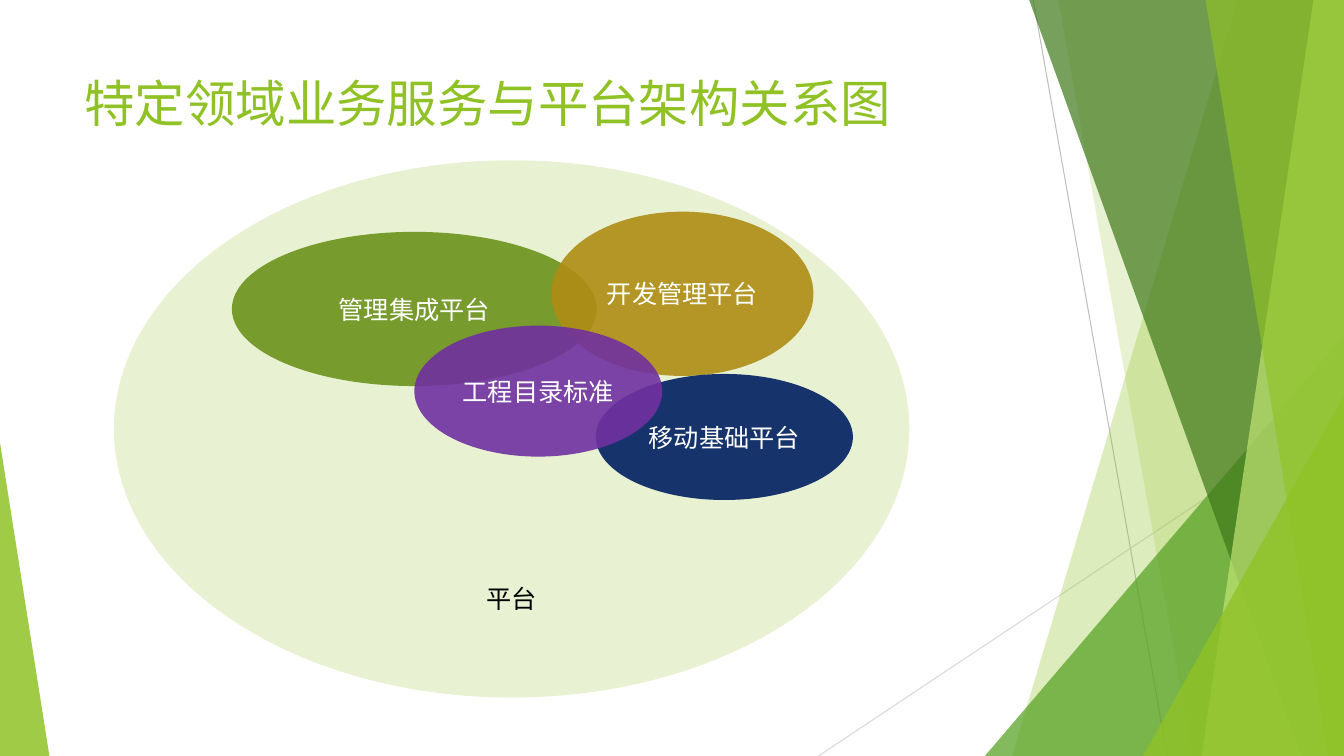
from dataclasses import dataclass

from lxml.etree import SubElement
from pptx import Presentation
from pptx.dml.color import RGBColor
from pptx.enum.shapes import MSO_CONNECTOR, MSO_SHAPE
from pptx.enum.text import MSO_ANCHOR, PP_ALIGN
from pptx.oxml.ns import qn
from pptx.util import Inches, Pt

WIDTH, HEIGHT = Inches(13.333), Inches(7.5)


@dataclass(frozen=True)
class Theme:
    font: str = "Noto Sans"
    title_size: int = 36
    label_size: int = 18
    line_width: float = 0.75
    lime: str = "90C226"
    pale_lime: str = "C0E474"
    green: str = "54A021"
    forest: str = "3F7819"
    olive: str = "6C921D"
    gold: str = "AF8C14"
    navy: str = "002060"
    purple: str = "7030A0"
    gray: str = "BFBFBF"
    light_gray: str = "D9D9D9"
    white: str = "FFFFFF"
    black: str = "000000"


THEME = Theme()


def across(share):
    return round(WIDTH * share / 100)


def down(share):
    return round(HEIGHT * share / 100)


def box(x, y, w, h):
    return across(x), down(y), across(w), down(h)


def paint(sp, color, opacity):
    sp.shadow.inherit = False
    sp.fill.solid()
    sp.fill.fore_color.rgb = RGBColor.from_string(color)
    clr = sp._element.spPr.find(qn("a:solidFill"))[0]
    SubElement(clr, qn("a:alpha")).set("val", str(opacity * 1000))
    sp.line.fill.background()


def write(sp, text, size, color, align, anchor):
    tf = sp.text_frame
    tf.word_wrap = True
    tf.vertical_anchor = anchor
    p = tf.paragraphs[0]
    p.alignment = align
    r = p.add_run()
    r.text = text
    r.font.size = Pt(size)
    r.font.name = THEME.font
    r.font.color.rgb = RGBColor.from_string(color)
    SubElement(r._r.get_or_add_rPr(), qn("a:ea")).set("typeface", THEME.font)


def add_line(s, x1, y1, x2, y2, color):
    line = s.shapes.add_connector(
        MSO_CONNECTOR.STRAIGHT, across(x1), down(y1), across(x2), down(y2))
    line.line.color.rgb = RGBColor.from_string(color)
    line.line.width = Pt(THEME.line_width)
    SubElement(line._element.spPr, qn("a:effectLst"))


def add_band(s, top, bottom, color, opacity):
    builder = s.shapes.build_freeform(across(top), 0)
    corners = [(100, 0), (100, 100), (bottom, 100)]
    builder.add_line_segments([(across(x), down(y)) for x, y in corners])
    paint(builder.convert_to_shape(), color, opacity)


def add_corner(s, x, y, w, apex, color, opacity):
    sp = s.shapes.add_shape(MSO_SHAPE.ISOSCELES_TRIANGLE, *box(x, y, w, 100 - y))
    sp.adjustments[0] = apex
    paint(sp, color, opacity)


def add_ellipse(s, text, place, fill, opacity=90, color=THEME.white,
                anchor=MSO_ANCHOR.MIDDLE):
    sp = s.shapes.add_shape(MSO_SHAPE.OVAL, *box(*place))
    paint(sp, fill, opacity)
    write(sp, text, THEME.label_size, color, PP_ALIGN.CENTER, anchor)


def add_title(s, text, place):
    sp = s.shapes.add_textbox(*box(*place))
    write(sp, text, THEME.title_size, THEME.lime, PP_ALIGN.LEFT, MSO_ANCHOR.TOP)


def add_backdrop(s):
    add_line(s, 76.88, 0, 86.85, 100, THEME.gray)
    add_line(s, 100, 53.73, 60.9, 100, THEME.light_gray)
    add_band(s, 92.1, 75.3, THEME.lime, 30)
    add_band(s, 78.75, 88.73, THEME.lime, 20)
    add_corner(s, 73.28, 44.4, 26.72, 1, THEME.green, 72)
    add_band(s, 76.58, 96.83, THEME.forest, 70)
    add_band(s, 97.73, 89.4, THEME.pale_lime, 70)
    add_band(s, 89.7, 98.85, THEME.lime, 65)
    add_corner(s, 85.05, 52.4, 14.95, 1, THEME.lime, 80)
    add_corner(s, 0, 58.53, 3.68, 0, THEME.lime, 85)


def main():
    prs = Presentation()
    prs.slide_width, prs.slide_height = WIDTH, HEIGHT
    s = prs.slides.add_slide(prs.slide_layouts[6])
    add_backdrop(s)
    add_title(s, "特定领域业务服务与平台架构关系图", (5.55, 8.93, 70.5, 19.2))
    add_ellipse(s, "平台", (8.48, 21.2, 59.18, 71.07), THEME.lime, 20,
                THEME.black, MSO_ANCHOR.BOTTOM)
    platforms = [
        ("管理集成平台", (17.25, 30.67, 27.15, 20.4), THEME.olive),
        ("开发管理平台", (41.03, 28, 19.5, 21.73), THEME.gold),
        ("移动基础平台", (44.33, 49.47, 19.13, 16.67), THEME.navy),
        ("工程目录标准", (30.83, 43.07, 18.45, 17.33), THEME.purple),
    ]
    for text, place, fill in platforms:
        add_ellipse(s, text, place, fill)
    prs.save("out.pptx")


main()
